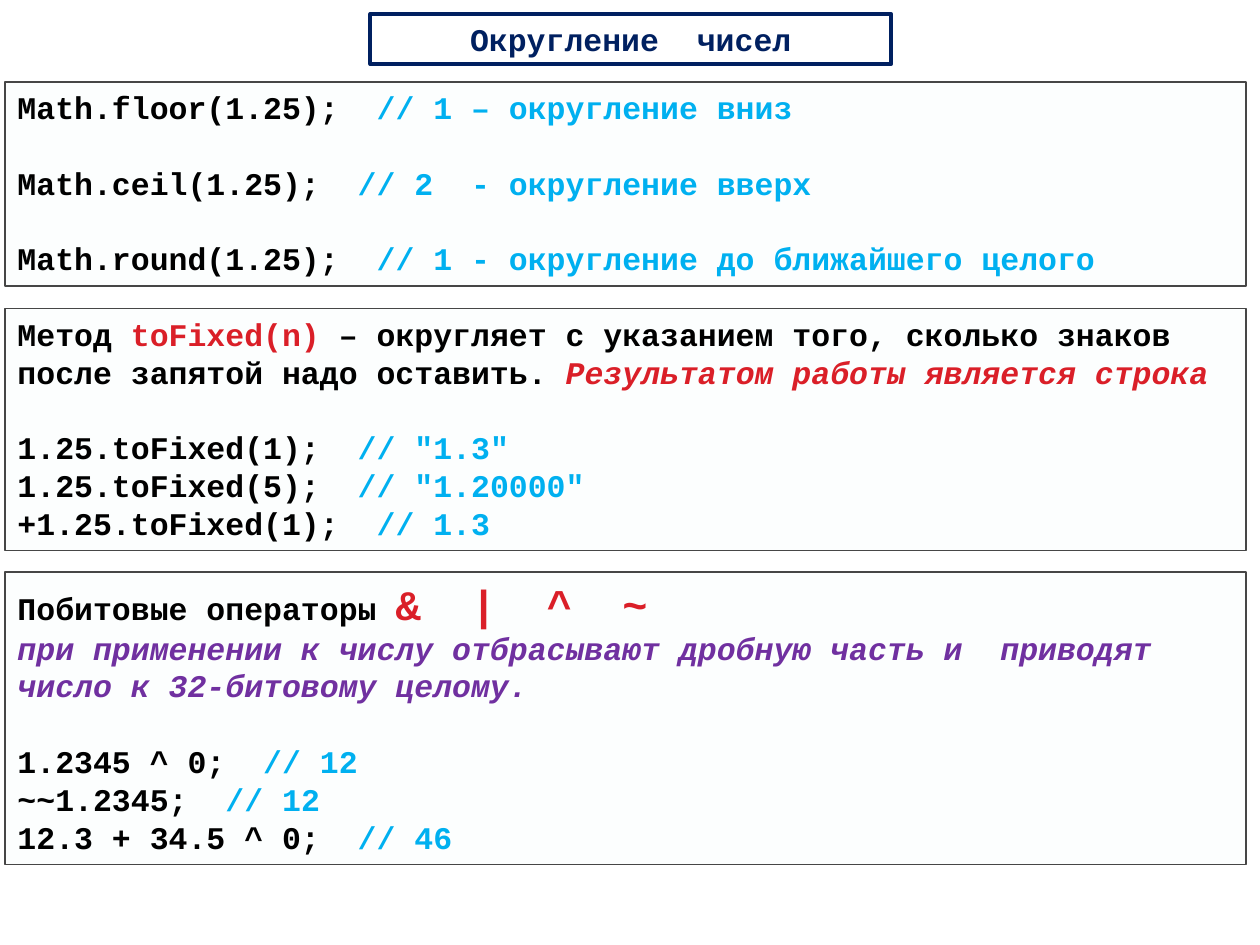
import pptx
import pptx.util
import pptx.dml.color
import pptx.enum.shapes
import pptx.enum.text
import lxml.etree
from dataclasses import dataclass

Pt = pptx.util.Pt
Align = pptx.enum.text.PP_ALIGN
Anchor = pptx.enum.text.MSO_ANCHOR


@dataclass(frozen=True)
class Theme:
    font: str = "Courier New"
    size: int = 18
    big: int = 24
    gap: float = 21.6
    white: str = "FFFFFF"
    navy: str = "002060"
    pale: str = "DEF5FA"
    edge: str = "464646"
    black: str = "000000"
    blue: str = "00B0F0"
    red: str = "DA1F28"
    plum: str = "7030A0"


class Deck:
    """Holds the theme and the current slide."""

    def __init__(self, theme):
        self.theme = theme
        self.file = pptx.Presentation()
        self.file.slide_width, self.file.slide_height = Pt(720), Pt(540)
        self.slide = self.file.slides.add_slide(self.file.slide_layouts[5])

    def color(self, code):
        return pptx.dml.color.RGBColor.from_string(code)

    def paint(self, shape, fill, line, width):
        shape.fill.solid()
        shape.fill.fore_color.rgb = self.color(fill)
        shape.line.color.rgb = self.color(line)
        shape.line.width = Pt(width)

    def style(self, run, color, size=None, slant=False):
        font = run.font
        font.name, font.size = self.theme.font, Pt(size or self.theme.size)
        font.bold, font.italic = True, slant
        font.color.rgb = self.color(color)

    def title(self, text, left, top, width, height):
        shape = self.slide.shapes.title
        shape.left, shape.top = Pt(left), Pt(top)
        shape.width, shape.height = Pt(width), Pt(height)
        self.paint(shape, self.theme.white, self.theme.navy, 2.25)
        frame = shape.text_frame
        frame.text = text
        frame.auto_size = pptx.enum.text.MSO_AUTO_SIZE.NONE
        frame.vertical_anchor = Anchor.MIDDLE
        frame.paragraphs[0].alignment = Align.CENTER
        self.style(frame.paragraphs[0].runs[0], self.theme.navy)

    def panel(self, top, height, lines, gaps):
        """Draw a framed box; gaps lists the lines with space above them."""
        shape = self.slide.shapes.add_shape(
            pptx.enum.shapes.MSO_SHAPE.RECTANGLE,
            Pt(2.9), Pt(top), Pt(709.2), Pt(height))
        shape.shadow.inherit = False
        self.paint(shape, self.theme.pale, self.theme.edge, 0.75)
        # Nearly clear fill
        tint = shape.fill._xPr.find(".//" + pptx.oxml.ns.qn("a:srgbClr"))
        lxml.etree.SubElement(tint, pptx.oxml.ns.qn("a:alpha"), val="8000")
        frame = shape.text_frame
        frame.word_wrap = True
        frame.vertical_anchor = Anchor.TOP
        for i, line in enumerate(lines):
            para = frame.add_paragraph() if i else frame.paragraphs[0]
            para.alignment = Align.LEFT
            if i in gaps:
                para.space_before = Pt(self.theme.gap)
            for text, *look in line:
                run = para.add_run()
                run.text = text
                self.style(run, *look)

    def code(self, text, note):
        """Return the parts of a code line with its comment."""
        return [(text + "  ", self.theme.black),
                ("// " + note, self.theme.blue)]


def main():
    look = Theme()
    deck = Deck(look)
    code = deck.code

    # Heading
    deck.title("Округление  чисел", 211.7, 7.9, 297.4, 28.8)

    # Math methods
    deck.panel(46.8, 116.6, [
        code("Math.floor(1.25);", "1 – округление вниз"),
        code("Math.ceil(1.25);", "2  - округление вверх"),
        code("Math.round(1.25);", "1 - округление до ближайшего целого"),
    ], gaps=(1, 2))

    # The toFixed method
    deck.panel(176.4, 138.2, [
        [("Метод ", look.black), ("toFixed(n) ", look.red),
         ("– округляет с указанием того, сколько знаков", look.black)],
        [("после запятой надо оставить. ", look.black),
         ("Результатом работы является строка", look.red, None, True)],
        code("1.25.toFixed(1);", '"1.3"'),
        code("1.25.toFixed(5);", '"1.20000"'),
        code("+1.25.toFixed(1);", "1.3"),
    ], gaps=(2,))

    # Bitwise operators
    deck.panel(326.9, 167, [
        [("Побитовые операторы ", look.black),
         ("&  |  ^  ~", look.red, look.big)],
        [("при применении к числу отбрасывают дробную часть и  приводят "
          "число к 32-битовому целому.", look.plum, None, True)],
        code("1.2345 ^ 0;", "12"),
        code("~~1.2345;", "12"),
        code("12.3 + 34.5 ^ 0;", "46"),
    ], gaps=(2,))

    deck.file.save("out.pptx")


if __name__ == "__main__":
    main()
